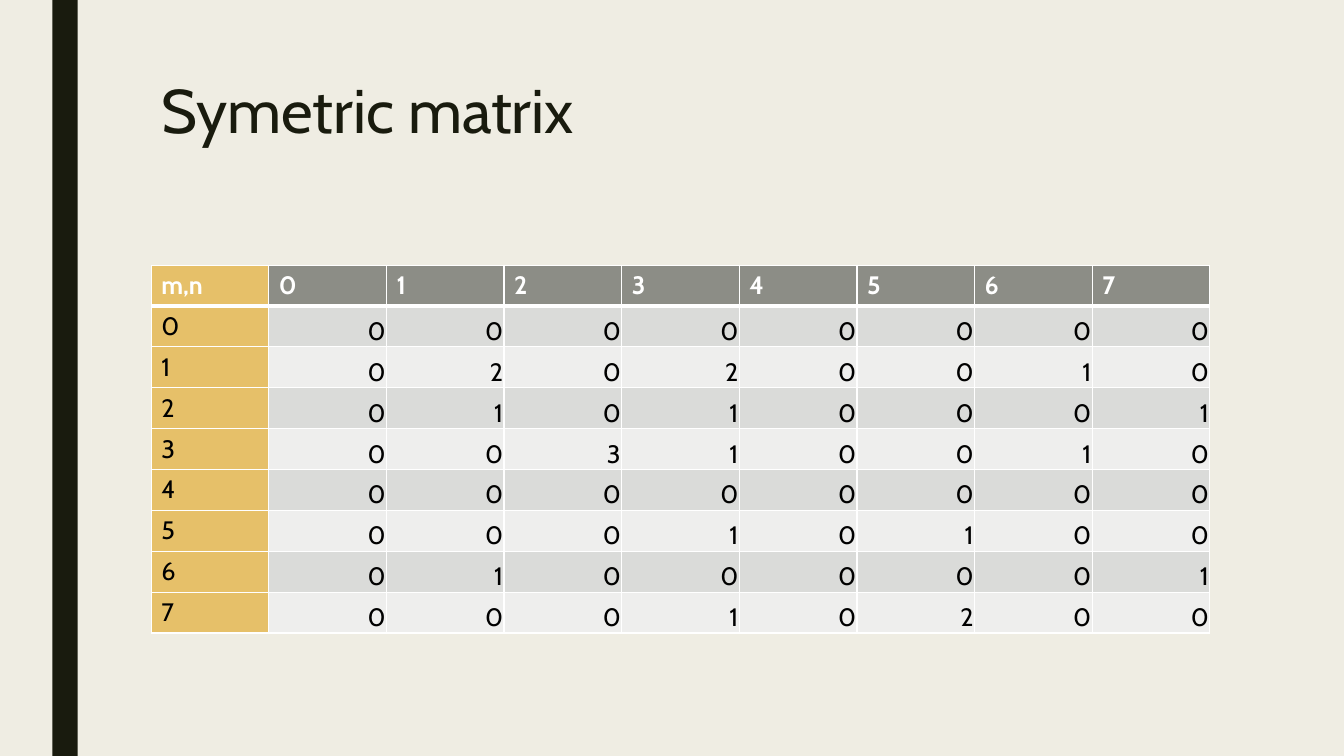
from lxml.etree import SubElement
from pptx import Presentation
from pptx.dml.color import RGBColor
from pptx.enum.shapes import MSO_SHAPE
from pptx.enum.text import MSO_ANCHOR, PP_ALIGN
from pptx.oxml.ns import qn
from pptx.util import Inches, Pt

MATRIX = [
    "00000000",
    "02020010",
    "01010001",
    "00310010",
    "00000000",
    "00010100",
    "01000001",
    "00010200",
]
INK, WHITE, BLACK = "191B0E", "FFFFFF", "000000"
GOLD, GRAY, BANDS = "E6C069", "8C8D86", ("EEEEED", "DADBD9")


def paint(fill, color):
    fill.solid()
    fill.fore_color.rgb = RGBColor.from_string(color)


def write(tf, text, color, **font):
    """Put text in the first paragraph of a frame and return the paragraph."""
    p = tf.paragraphs[0]
    r = p.add_run()
    r.text = text
    r.font.color.rgb = RGBColor.from_string(color)
    for name, value in {"name": "Cabin", **font}.items():
        setattr(r.font, name, value)
    return p


prs = Presentation()
prs.slide_width, prs.slide_height = Inches(13.33), Inches(7.5)
s = prs.slides.add_slide(prs.slide_layouts[6])
paint(s.background.fill, "EFEDE3")

bar = s.shapes.add_shape(MSO_SHAPE.RECTANGLE, Inches(0.52), 0, Inches(0.25), Inches(7.5))
bar.shadow.inherit = False
paint(bar.fill, INK)
bar.line.fill.background()

title = s.shapes.add_textbox(Inches(1.5), Inches(0.75), Inches(10.5), Inches(1.62))
title.text_frame.word_wrap = True
p = write(title.text_frame, "Symetric matrix", INK, size=Pt(44))
p.line_spacing = 0.89

labels = [str(n) for n in range(len(MATRIX))]
rows = [["m,n", *labels]] + [[m, *values] for m, values in zip(labels, MATRIX)]
size = len(rows)
table = s.shapes.add_table(
    size, size, Inches(1.5), Inches(2.63), Inches(10.5), Inches(3.65)).table

for i, row in enumerate(rows):
    for j, text in enumerate(row):
        cell = table.cell(i, j)
        header = i == 0
        widths = {"lnL": 1, "lnR": 1, "lnT": 3 if i == 1 else 1, "lnB": 3 if header else 1}
        tcPr = cell._tc.get_or_add_tcPr()
        for side, width in widths.items():
            ln = SubElement(tcPr, qn(f"a:{side}"), w=str(Pt(width)))
            SubElement(SubElement(ln, qn("a:solidFill")), qn("a:srgbClr"), val=WHITE)
        paint(cell.fill, GOLD if j == 0 else GRAY if header else BANDS[i % 2])
        p = write(cell.text_frame, text, WHITE if header else BLACK, size=Pt(18), bold=header)
        if i and j:
            p.alignment = PP_ALIGN.RIGHT
            cell.vertical_anchor = MSO_ANCHOR.BOTTOM
            cell.margin_left = cell.margin_right = cell.margin_top = Inches(0.01)
            cell.margin_bottom = 0

prs.save("out.pptx")
